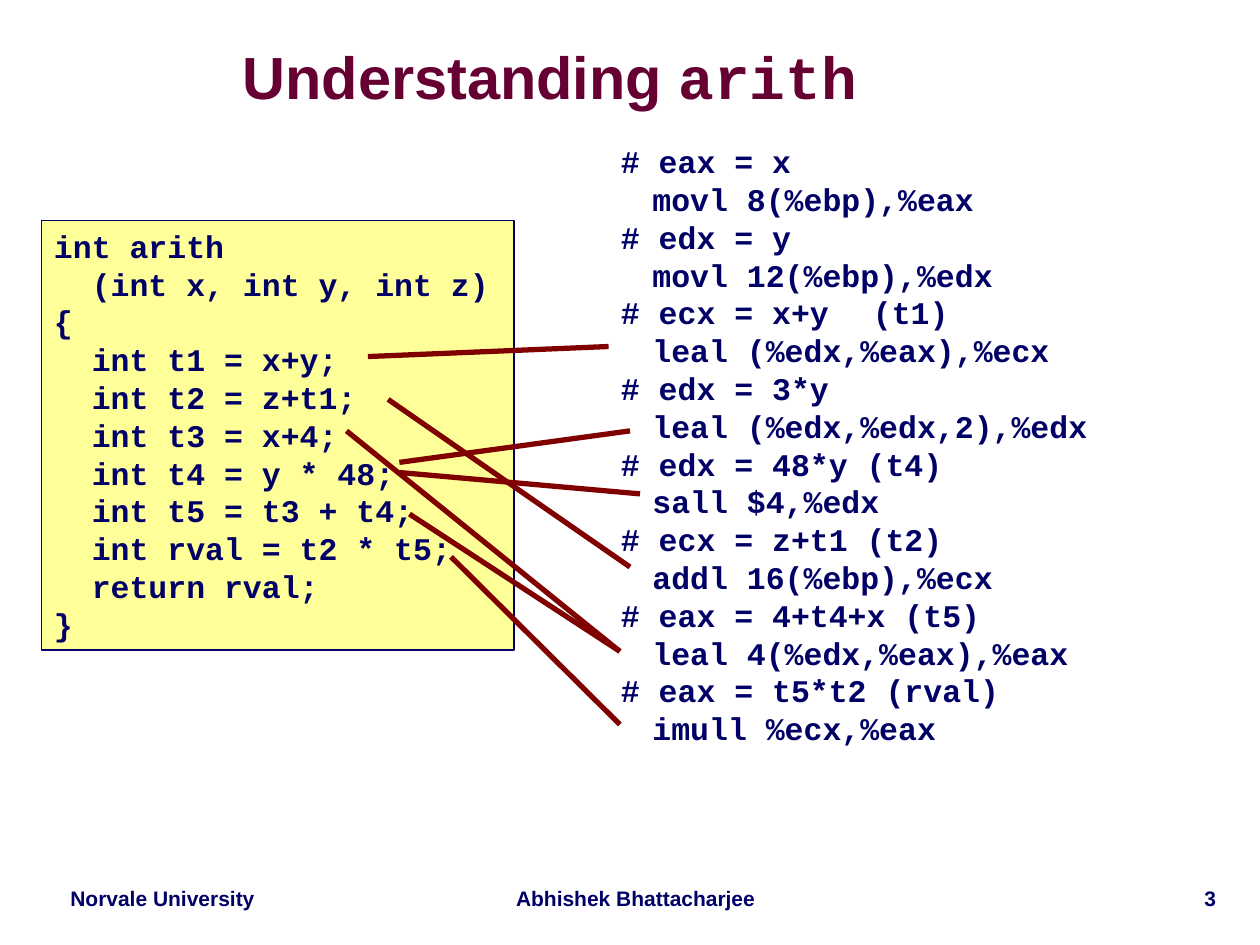
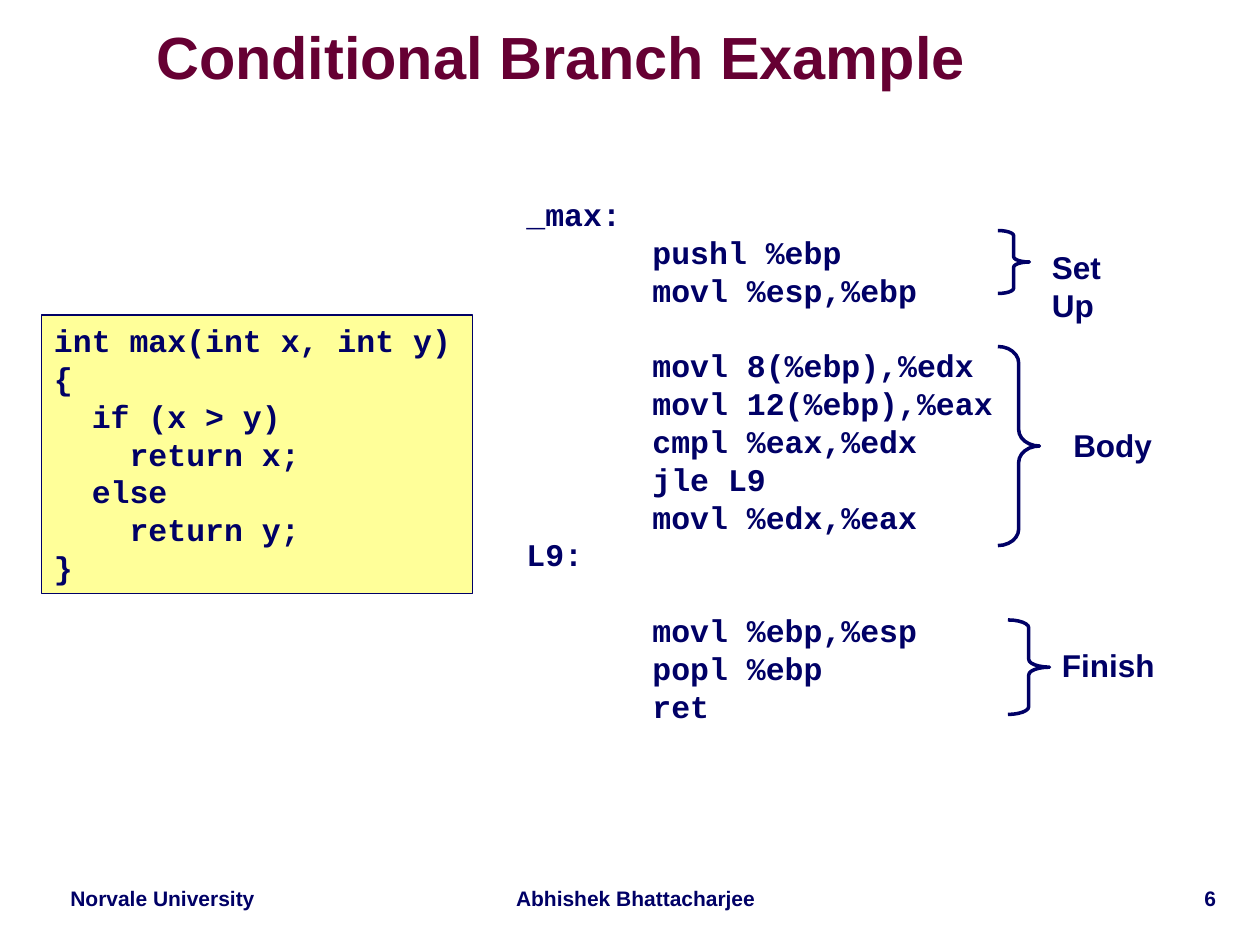
from dataclasses import dataclass

from lxml import etree
from pptx import Presentation
from pptx.dml.color import RGBColor
from pptx.enum.shapes import MSO_CONNECTOR, MSO_SHAPE
from pptx.enum.text import MSO_ANCHOR, PP_ALIGN
from pptx.oxml.ns import qn
from pptx.util import Inches, Pt

LEFT, CENTER, RIGHT = PP_ALIGN.LEFT, PP_ALIGN.CENTER, PP_ALIGN.RIGHT
TOP, MIDDLE = MSO_ANCHOR.TOP, MSO_ANCHOR.MIDDLE
RECTANGLE, RIGHT_BRACE = MSO_SHAPE.RECTANGLE, MSO_SHAPE.RIGHT_BRACE
STRAIGHT = MSO_CONNECTOR.STRAIGHT


@dataclass(frozen=True)
class Theme:
    ink: str = "000066"
    title: str = "660033"
    link: str = "800000"
    panel: str = "FFFF99"
    sans: str = "Arial"
    mono: str = "Courier New"
    title_size: float = 34
    body_size: float = 18
    footer_size: float = 12
    blank_line: float = 21.6
    column: float = 0.15


THEME = Theme()


@dataclass(frozen=True)
class Area:
    left: float
    top: float
    width: float
    height: float

    def lengths(self):
        return [Inches(n) for n in (self.left, self.top, self.width, self.height)]


@dataclass(frozen=True)
class Span:
    text: str
    font: str = THEME.sans


@dataclass(frozen=True)
class Line:
    text: str
    indent: float = 0
    gap: float = 0
    tab: float = 0


@dataclass(frozen=True)
class Link:
    start: tuple[float, float]
    end: tuple[float, float]


@dataclass(frozen=True)
class Stage:
    brace: Area
    curve: float
    label: Area
    lines: tuple[str, ...]


def write_para(para, spans: list[Span], *, size: float = THEME.body_size,
               color: str = THEME.ink, align=LEFT, spacing: float = 1,
               indent: float = 0, gap: float = 0, tab: float = 0) -> None:
    para.alignment = align
    para.line_spacing = spacing
    para.space_before = Pt(gap)
    props = para._p.get_or_add_pPr()
    props.set("marL", str(Inches(indent)))
    props.set("indent", "0")
    if tab:
        stops = etree.SubElement(props, qn("a:tabLst"))
        etree.SubElement(stops, qn("a:tab"), pos=str(Inches(tab)), algn="l")
    for span in spans:
        run = para.add_run()
        run.text = span.text
        run.font.name = span.font
        run.font.size = Pt(size)
        run.font.bold = True
        run.font.color.rgb = RGBColor.from_string(color)


def next_para(frame, index: int):
    return frame.paragraphs[0] if index == 0 else frame.add_paragraph()


def add_text(page, area: Area, *lines: list[Span], wrap: bool = True,
             inset: bool = True, anchor=TOP, **style) -> None:
    frame = page.shapes.add_textbox(*area.lengths()).text_frame
    frame.word_wrap = wrap
    frame.vertical_anchor = anchor
    if not inset:
        frame.margin_left = frame.margin_right = Inches(0)
        frame.margin_top = frame.margin_bottom = Inches(0)
    for index, spans in enumerate(lines):
        write_para(next_para(frame, index), spans, **style)


def add_code(page, area: Area, lines: list[Line], panel: bool = False) -> None:
    if panel:
        box = page.shapes.add_shape(RECTANGLE, *area.lengths())
        box.shadow.inherit = False
        box.fill.solid()
        box.fill.fore_color.rgb = RGBColor.from_string(THEME.panel)
        box.line.color.rgb = RGBColor.from_string(THEME.ink)
        box.line.width = Pt(1)
    else:
        box = page.shapes.add_textbox(*area.lengths())
    frame = box.text_frame
    frame.word_wrap = True
    frame.vertical_anchor = TOP
    for index, line in enumerate(lines):
        write_para(next_para(frame, index), [Span(line.text, THEME.mono)],
                   indent=line.indent, gap=line.gap, tab=line.tab)


def source_line(text: str, columns: int = 0) -> Line:
    return Line(text, indent=columns * THEME.column)


def add_link(page, link: Link) -> None:
    ends = [Inches(n) for n in (*link.start, *link.end)]
    line = page.shapes.add_connector(STRAIGHT, *ends)
    line.line.color.rgb = RGBColor.from_string(THEME.link)
    line.line.width = Pt(3)
    etree.SubElement(line._element.spPr, qn("a:effectLst"))


def add_stage(page, stage: Stage) -> None:
    brace = page.shapes.add_shape(RIGHT_BRACE, *stage.brace.lengths())
    brace.shadow.inherit = False
    brace.fill.background()
    brace.line.color.rgb = RGBColor.from_string(THEME.ink)
    brace.line.width = Pt(2)
    brace.adjustments[0] = stage.curve
    brace.adjustments[1] = 0.5
    add_text(page, stage.label, *[[Span(text)] for text in stage.lines], wrap=False)


def add_page(deck, number: int, title_area: Area, *title: Span):
    page = deck.slides.add_slide(deck.slide_layouts[6])
    footers = (
        (Area(0.33, 7, 1.92, 0.28), "Norvale University", CENTER),
        (Area(8.17, 7, 1.58, 0.3), str(number), RIGHT),
        (Area(3.92, 7, 2.25, 0.28), "Abhishek Bhattacharjee", CENTER),
    )
    for area, text, align in footers:
        add_text(page, area, [Span(text)], size=THEME.footer_size,
                 align=align, spacing=0.9)
    add_text(page, title_area, list(title), size=THEME.title_size,
             color=THEME.title, align=CENTER, spacing=0.87,
             inset=False, anchor=MIDDLE)
    return page


def build_arith(deck) -> None:
    page = add_page(deck, 3, Area(1.08, 0.33, 6.57, 0.63),
                    Span("Understanding "), Span("arith", THEME.mono))
    statements = ("int t1 = x+y;", "int t2 = z+t1;", "int t3 = x+4;",
                  "int t4 = y * 48;", "int t5 = t3 + t4;",
                  "int rval = t2 * t5;", "return rval;")
    source = [source_line("int arith"),
              source_line("(int x, int y, int z)", 2),
              source_line("{"),
              *[source_line(text, 2) for text in statements],
              source_line("}")]
    add_code(page, Area(0.33, 1.75, 3.75, 3.41), source, panel=True)

    steps = (
        ("# eax = x", "movl 8(%ebp),%eax"),
        ("# edx = y", "movl 12(%ebp),%edx"),
        ("# ecx = x+y\t(t1)", "leal (%edx,%eax),%ecx"),
        ("# edx = 3*y", "leal (%edx,%edx,2),%edx"),
        ("# edx = 48*y (t4)", "sall $4,%edx"),
        ("# ecx = z+t1 (t2)", "addl 16(%ebp),%ecx"),
        ("# eax = 4+t4+x (t5)", "leal 4(%edx,%eax),%eax"),
        ("# eax = t5*t2 (rval)", "imull %ecx,%eax"),
    )
    assembly = []
    for remark, instruction in steps:
        tab = 13 * THEME.column if "\t" in remark else 0
        assembly += [Line(remark, tab=tab), Line(instruction, indent=0.25)]
    add_code(page, Area(4.83, 1.08, 4.83, 4.9), assembly)

    links = (
        Link((2.92, 2.83), (4.83, 2.75)),
        Link((3.17, 3.67), (5, 3.42)),
        Link((3.17, 3.75), (5.08, 3.92)),
        Link((3.08, 3.17), (5, 4.5)),
        Link((3.25, 4.08), (4.92, 5.17)),
        Link((2.75, 3.42), (4.92, 5.17)),
        Link((3.58, 4.42), (4.92, 5.75)),
    )
    for link in links:
        add_link(page, link)


def build_branch(deck) -> None:
    page = add_page(deck, 6, Area(0.42, 0.17, 8.06, 0.63),
                    Span("Conditional Branch Example"))
    source = [source_line("int max(int x, int y)"), source_line("{"),
              source_line("if (x > y)", 2), source_line("return x;", 4),
              source_line("else", 2), source_line("return y;", 4),
              source_line("}")]
    add_code(page, Area(0.33, 2.5, 3.42, 2.21), source, panel=True)

    blocks = (
        ("_max:", ("pushl %ebp", "movl %esp,%ebp")),
        ("", ("movl 8(%ebp),%edx", "movl 12(%ebp),%eax", "cmpl %eax,%edx",
              "jle L9", "movl %edx,%eax")),
        ("L9:", ()),
        ("", ("movl %ebp,%esp", "popl %ebp", "ret")),
    )
    assembly = []
    for label, instructions in blocks:
        if label:
            assembly.append(Line(label))
        for index, text in enumerate(instructions):
            gap = THEME.blank_line if index == 0 and not label else 0
            assembly.append(Line(text, indent=1, gap=gap))
    add_code(page, Area(4.08, 1.5, 4.17, 4.3), assembly)

    stages = (
        Stage(Area(7.92, 2.75, 0.33, 1.58), 0.396,
              Area(8.42, 3.33, 0.83, 0.4), ("Body",)),
        Stage(Area(7.92, 1.83, 0.25, 0.5), 0.167,
              Area(8.25, 1.92, 0.59, 0.7), ("Set", "Up")),
        Stage(Area(8, 4.92, 0.33, 0.75), 0.188,
              Area(8.33, 5.08, 0.94, 0.4), ("Finish",)),
    )
    for stage in stages:
        add_stage(page, stage)


def main() -> None:
    deck = Presentation()
    deck.slide_width, deck.slide_height = Inches(10), Inches(7.5)
    build_arith(deck)
    build_branch(deck)
    deck.save("out.pptx")


main()
